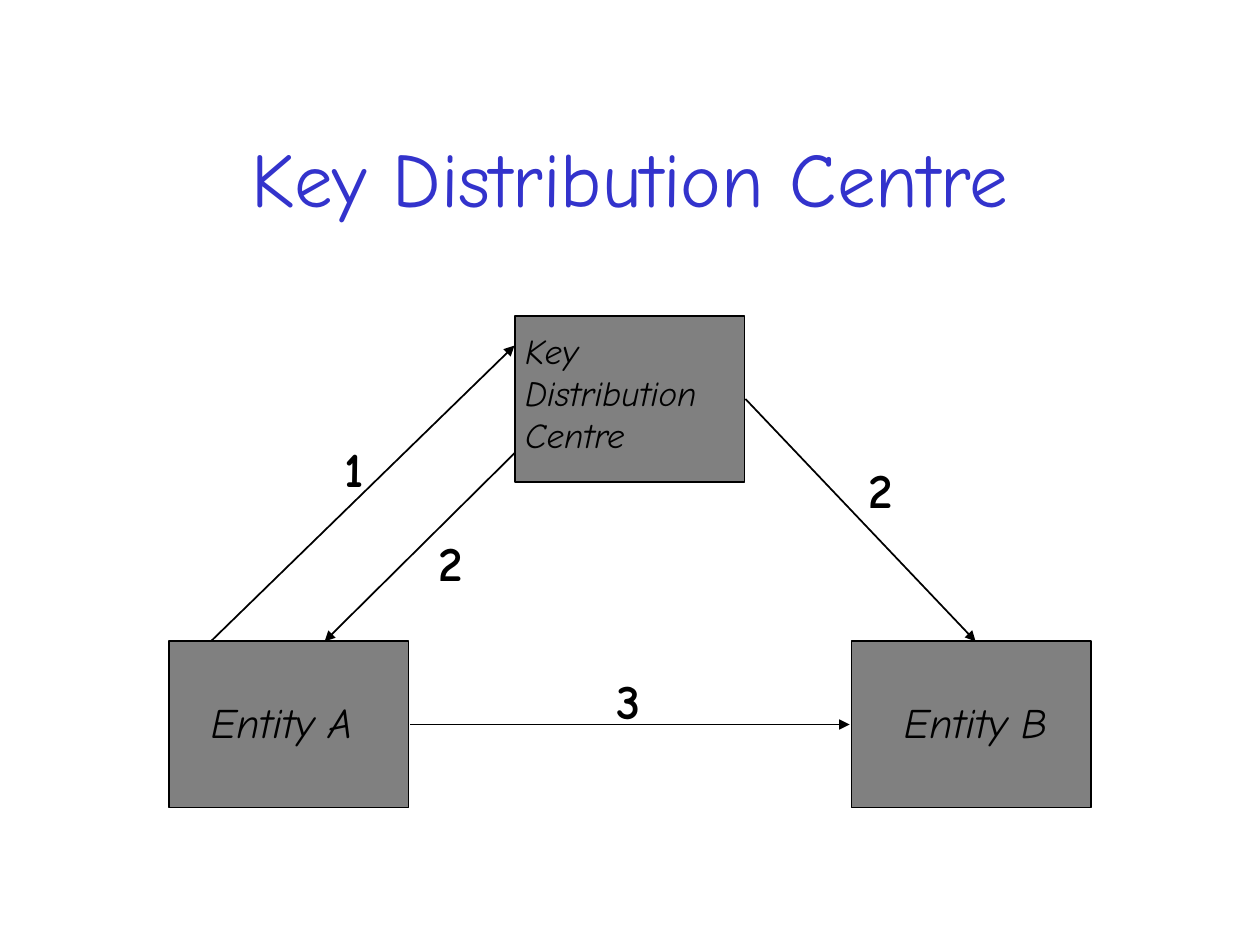
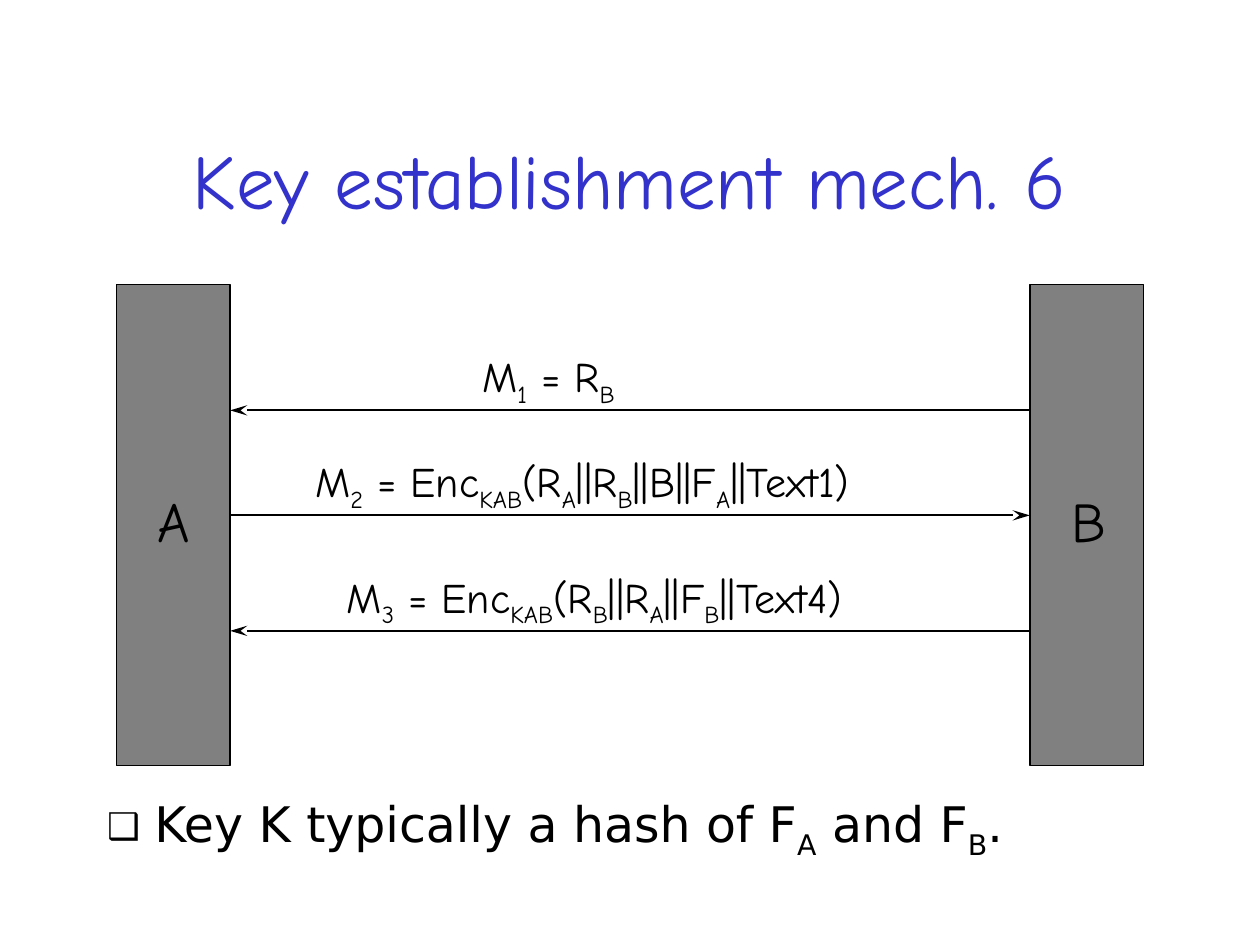
from dataclasses import dataclass

from lxml.etree import SubElement
from pptx import Presentation
from pptx.dml.color import RGBColor
from pptx.enum.shapes import MSO_CONNECTOR, MSO_SHAPE
from pptx.enum.text import MSO_ANCHOR, MSO_AUTO_SIZE, PP_ALIGN
from pptx.oxml.ns import qn
from pptx.util import Pt


@dataclass(frozen=True)
class Theme:
    ink: RGBColor = RGBColor(0, 0, 0)
    paper: RGBColor = RGBColor(255, 255, 255)
    box: RGBColor = RGBColor(0x80, 0x80, 0x80)
    heading: RGBColor = RGBColor(0x33, 0x33, 0xCC)
    font: str = "Comic Neue"
    body_font: str = "DejaVu Sans"
    title_size: int = 44
    actor_size: int = 32
    step_size: int = 28
    message_size: int = 24
    small_size: int = 20
    line_width: int = 1


T = Theme()
STEP = {"size": Pt(T.step_size), "bold": True}
ENTITY = {"size": Pt(T.message_size), "italic": True}
CENTRE = {"size": Pt(T.small_size), "italic": True}
ACTOR = {"size": Pt(T.actor_size)}
MESSAGE = {"size": Pt(T.message_size)}
BODY = {"size": Pt(T.step_size), "name": T.body_font}


def place(sp, box):
    for name, value in zip(("left", "top", "width", "height"), box):
        setattr(sp, name, Pt(value))


def write(p, text, fmt, color=T.ink):
    """Text between a pair of underscores becomes a subscript."""
    for i, part in enumerate(text.split("_")):
        if not part:
            continue
        r = p.add_run()
        r.text = part
        for name, value in {"name": T.font, **fmt}.items():
            setattr(r.font, name, value)
        r.font.color.rgb = color
        if i % 2:
            r.font._element.set("baseline", "-25000")


def add_title(s, text, box):
    sp = s.shapes.title
    place(sp, box)
    sp.fill.solid()
    sp.fill.fore_color.rgb = T.paper
    tf = sp.text_frame
    tf.auto_size = MSO_AUTO_SIZE.NONE
    tf.vertical_anchor = MSO_ANCHOR.MIDDLE
    p = tf.paragraphs[0]
    p.alignment = PP_ALIGN.CENTER
    write(p, text, {"size": Pt(T.title_size)}, T.heading)


def add_box(s, *box):
    sp = s.shapes.add_shape(MSO_SHAPE.RECTANGLE, *map(Pt, box))
    sp.shadow.inherit = False
    sp.fill.solid()
    sp.fill.fore_color.rgb = T.box
    sp.line.color.rgb = T.ink
    sp.line.width = Pt(T.line_width)


def add_label(s, text, box, fmt):
    tf = s.shapes.add_textbox(*map(Pt, box)).text_frame
    tf.word_wrap = False
    tf.auto_size = MSO_AUTO_SIZE.SHAPE_TO_FIT_TEXT
    for i, line in enumerate(text.split("\n")):
        write(tf.add_paragraph() if i else tf.paragraphs[0], line, fmt)


def add_arrow(s, start, end, kind="triangle", length="med"):
    line = s.shapes.add_connector(MSO_CONNECTOR.STRAIGHT, *map(Pt, (*start, *end)))
    line.line.color.rgb = T.ink
    line.line.width = Pt(T.line_width)
    SubElement(line.line._get_or_add_ln(), qn("a:tailEnd"),
               type=kind, w="med", len=length)
    SubElement(line._element.spPr, qn("a:effectLst"))


def add_bullet(s, text, box):
    sp = s.placeholders[1]
    place(sp, box)
    tf = sp.text_frame
    tf.auto_size = MSO_AUTO_SIZE.NONE
    p = tf.paragraphs[0]
    write(p, text, BODY)
    pPr = p._p.get_or_add_pPr()
    SubElement(SubElement(pPr, qn("a:buClr")), qn("a:srgbClr"), val=str(T.ink))
    SubElement(pPr, qn("a:buSzPct"), val="75000")
    SubElement(pPr, qn("a:buFont"), typeface=T.body_font)
    SubElement(pPr, qn("a:buChar"), char="❑")


def distribution_slide(prs):
    s = prs.slides.add_slide(prs.slide_layouts[5])
    add_title(s, "Key Distribution Centre", (82, 71, 556, 60.5))
    entity_top, box_height = 366.5, 95
    for left in (96.5, 486.5):
        add_box(s, left, entity_top, 137, box_height)
    add_box(s, 294.5, 180.5, 131, box_height)

    middle = entity_top + box_height / 2
    for start, end in (
        ((120.5, entity_top), (294, 197.5)),
        ((294.5, 258.5), (185.5, entity_top)),
        ((426, 228), (557.5, entity_top)),
        ((234.5, middle), (485.5, middle)),
    ):
        add_arrow(s, start, end)

    for step, left, top in (("1", 189.5, 247), ("2", 489, 259),
                            ("2", 243.5, 301), ("3", 345, 379.5)):
        add_label(s, step, (left, top, 29.5, 40.5), STEP)
    for name, left in (("Entity A", 113.5), ("Entity B", 509.5)):
        add_label(s, name, (left, 394.5, 97, 36), ENTITY)
    add_label(s, "Key\nDistribution\nCentre", (293, 185, 128, 80), CENTRE)


def mechanism_slide(prs):
    s = prs.slides.add_slide(prs.slide_layouts[1])
    add_title(s, "Key establishment mech. 6", (60.5, 74, 599, 56))
    a_edge, b_edge, bar_width = 131.5, 588.5, 65
    for left in (a_edge - bar_width, b_edge):
        add_box(s, left, 162.5, bar_width, 275)
    for name, left, width in (("A", 83, 38), ("B", 605, 35)):
        add_label(s, name, (left, 274.5, width, 46), ACTOR)

    for text, left, width, y, to_a in (
        ("M_1_ = R_B_", 268.5, 96, 234.5, True),
        ("M_2_ = Enc_KAB_(R_A_||R_B_||B||F_A_||Text1)", 173, 405, 294.5, False),
        ("M_3_ = Enc_KAB_(R_B_||R_A_||F_B_||Text4)", 191, 371.5, 360.5, True),
    ):
        start, end = (b_edge, a_edge) if to_a else (a_edge, b_edge)
        add_arrow(s, (start, y), (end, y), "stealth", "lg")
        add_label(s, text, (left, y - 37.5, width, 36.5), MESSAGE)

    add_bullet(s, "Key K typically a hash of F_A_ and F_B_.", (54, 450, 612, 48))


def main():
    prs = Presentation()
    prs.slide_width, prs.slide_height = Pt(720), Pt(540)
    distribution_slide(prs)
    mechanism_slide(prs)
    prs.save("out.pptx")


if __name__ == "__main__":
    main()
